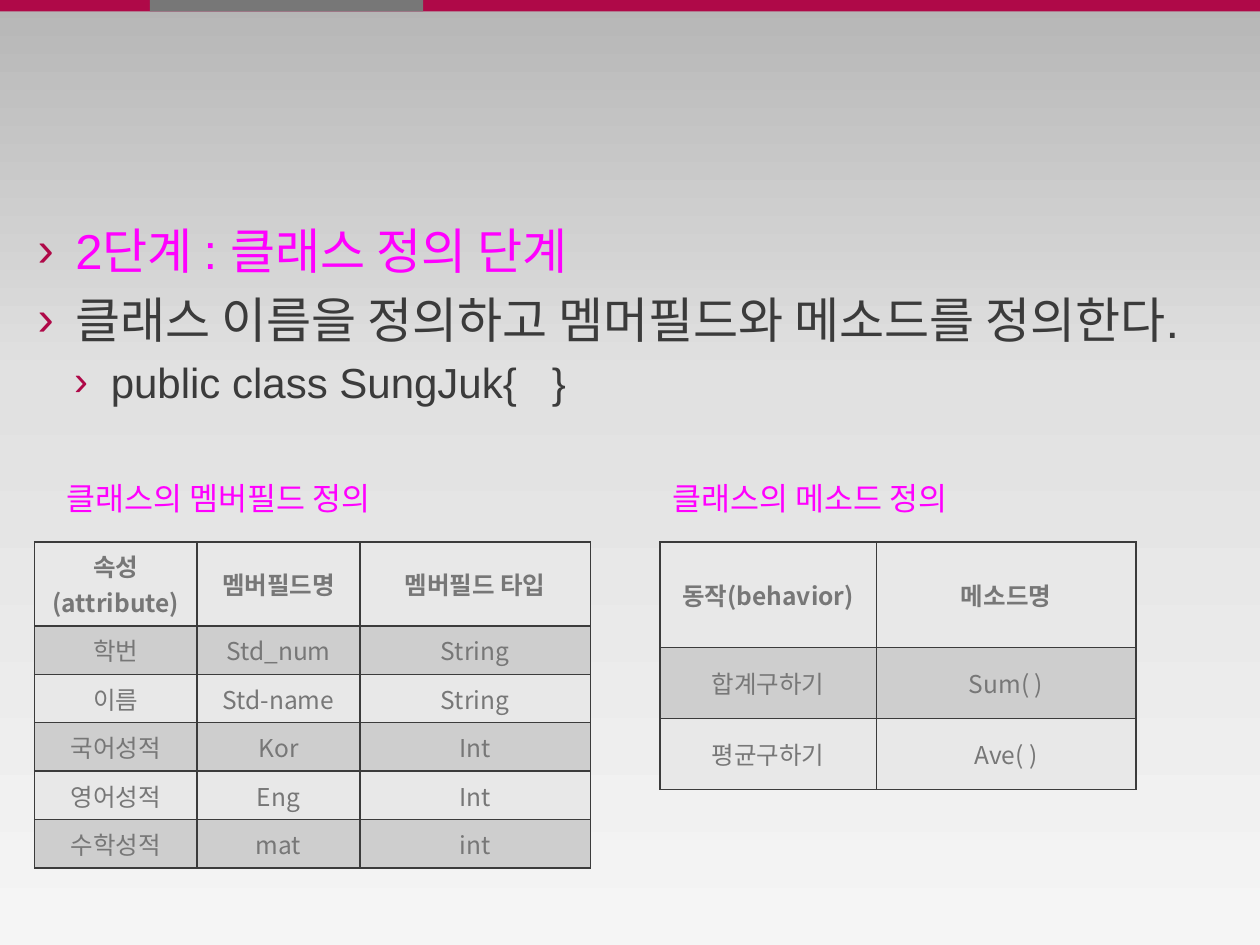
"""Build the class definition slide with its field and method tables."""
import pptx
import pptx.dml.color
import pptx.enum.shapes
import pptx.enum.text
import pptx.oxml.ns
import pptx.util
from lxml import etree

Pt = pptx.util.Pt
qn = pptx.oxml.ns.qn
TEXT = pptx.enum.text

THEME = {
    "sans": "Arial", "korean": "Noto Sans CJK KR",
    "red": "AF0948", "gray": "777777", "dark": "3B3B3B", "pink": "FF00FF",
    "light": "E8E8E8", "band": "CECECE",
    "back": [(0, "B6B6B6"), (40, "E1E1E1"), (100, "F5F5F5")],
    "lead": 28, "sub": 24, "label": 18, "cell": 14, "line": 1,
}

BARS = [(0, 720, "red"), (85.7, 156.2, "gray")]
STEPS = [
    ("2단계 : 클래스 정의 단계", 0, "lead", "pink"),
    ("클래스 이름을 정의하고 멤머필드와 메소드를 정의한다.", 0, "lead", "dark"),
    ("public class SungJuk{   }", 1, "sub", "dark"),
]
INDENTS = [(21.6, -21.6), (41.8, -20.9)]
TABLES = [
    {
        "label": ("클래스의 멤버필드 정의", 31, 207.4),
        "left": 19.8, "cols": [92.9, 92.9, 131.8], "head": 48, "row": 27.7,
        "rows": [
            ("속성(attribute)", "멤버필드명", "멤버필드 타입"),
            ("학번", "Std_num", "String"),
            ("이름", "Std-name", "String"),
            ("국어성적", "Kor", "Int"),
            ("영어성적", "Eng", "Int"),
            ("수학성적", "mat", "int"),
        ],
    },
    {
        "label": ("클래스의 메소드 정의", 377.3, 188.6),
        "left": 377, "cols": [123.8, 148.3], "head": 60.5, "row": 40.6,
        "rows": [
            ("동작(behavior)", "메소드명"),
            ("합계구하기", "Sum( )"),
            ("평균구하기", "Ave( )"),
        ],
    },
]


def color(name):
    return pptx.dml.color.RGBColor.from_string(THEME[name])


def style(para, size, tint, face="korean", bold=False):
    font = para.font
    font.size, font.bold, font.name = Pt(THEME[size]), bold, THEME[face]
    font.color.rgb = color(tint)
    if face == "korean":
        base = para._p.pPr.find(qn("a:defRPr"))
        etree.SubElement(base, qn("a:ea"), typeface=THEME[face])


def paint(slide):
    fill = slide.background.fill
    fill.gradient()
    fill.gradient_angle = 270
    stops = slide.element.find(".//" + qn("a:gsLst"))
    for stop in list(stops):
        stops.remove(stop)
    for place, tint in THEME["back"]:
        stop = etree.SubElement(stops, qn("a:gs"), pos=str(place * 1000))
        etree.SubElement(stop, qn("a:srgbClr"), val=tint)


def add_bar(slide, left, width, tint):
    kind = pptx.enum.shapes.MSO_SHAPE.RECTANGLE
    bar = slide.shapes.add_shape(kind, Pt(left), 0, Pt(width), Pt(6.5))
    bar.shadow.inherit = False
    bar.fill.solid()
    bar.fill.fore_color.rgb = color(tint)
    bar.line.fill.background()


def add_steps(slide):
    box = slide.shapes.add_textbox(Pt(14.4), Pt(122.4), Pt(680.4), Pt(147.6))
    frame = box.text_frame
    frame.word_wrap = True
    for i, (text, level, size, tint) in enumerate(STEPS):
        para = frame.add_paragraph() if i else frame.paragraphs[0]
        para.text, para.level = text, level
        props = para._p.get_or_add_pPr()
        left, hang = INDENTS[level]
        props.set("marL", str(Pt(left)))
        props.set("indent", str(Pt(hang)))
        shade = etree.SubElement(props, qn("a:buClr"))
        etree.SubElement(shade, qn("a:srgbClr"), val=THEME["red"])
        etree.SubElement(props, qn("a:buFont"), typeface=THEME["sans"])
        etree.SubElement(props, qn("a:buChar"), char="›")
        if i:
            para.space_before = Pt(THEME[size] * 0.2)
        style(para, size, tint, "sans")


def add_label(slide, text, left, width):
    box = slide.shapes.add_textbox(Pt(left), Pt(270), Pt(width), Pt(28.8))
    frame = box.text_frame
    frame.word_wrap = False
    frame.auto_size = TEXT.MSO_AUTO_SIZE.SHAPE_TO_FIT_TEXT
    para = frame.paragraphs[0]
    para.text = text
    style(para, "label", "pink")


def add_edges(cell):
    props = cell._tc.get_or_add_tcPr()
    for side in "LRTB":
        edge = etree.SubElement(props, qn("a:ln" + side), w=str(Pt(THEME["line"])))
        fill = etree.SubElement(edge, qn("a:solidFill"))
        etree.SubElement(fill, qn("a:srgbClr"), val=THEME["dark"])


def add_grid(slide, grid):
    rows, cols = grid["rows"], grid["cols"]
    highs = [grid["head"]] + [grid["row"]] * (len(rows) - 1)
    table = slide.shapes.add_table(
        len(rows), len(cols), Pt(grid["left"]), Pt(309.6),
        Pt(sum(cols)), Pt(sum(highs))).table
    for col, width in zip(table.columns, cols):
        col.width = Pt(width)
    for r, (row, high) in enumerate(zip(rows, highs)):
        table.rows[r].height = Pt(high)
        for c, text in enumerate(row):
            cell = table.cell(r, c)
            add_edges(cell)
            cell.fill.solid()
            cell.fill.fore_color.rgb = color("band" if r % 2 else "light")
            cell.vertical_anchor = TEXT.MSO_ANCHOR.MIDDLE
            para = cell.text_frame.paragraphs[0]
            para.text = text
            para.alignment = TEXT.PP_ALIGN.CENTER
            style(para, "cell", "gray", bold=r == 0)


def main():
    deck = pptx.Presentation()
    deck.slide_width, deck.slide_height = Pt(720), Pt(540)
    slide = deck.slides.add_slide(deck.slide_layouts[6])
    paint(slide)
    for bar in BARS:
        add_bar(slide, *bar)
    add_steps(slide)
    for grid in TABLES:
        add_grid(slide, grid)
        add_label(slide, *grid["label"])
    deck.save("out.pptx")


if __name__ == "__main__":
    main()
